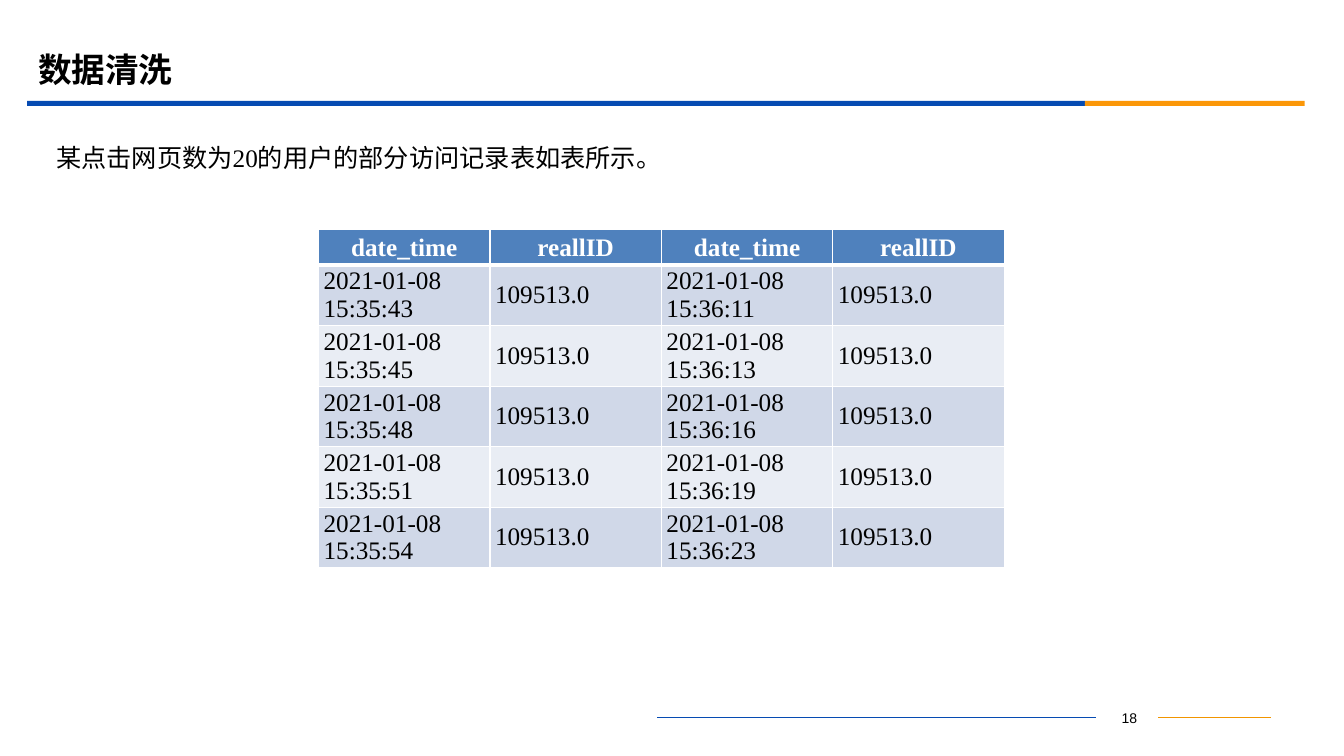
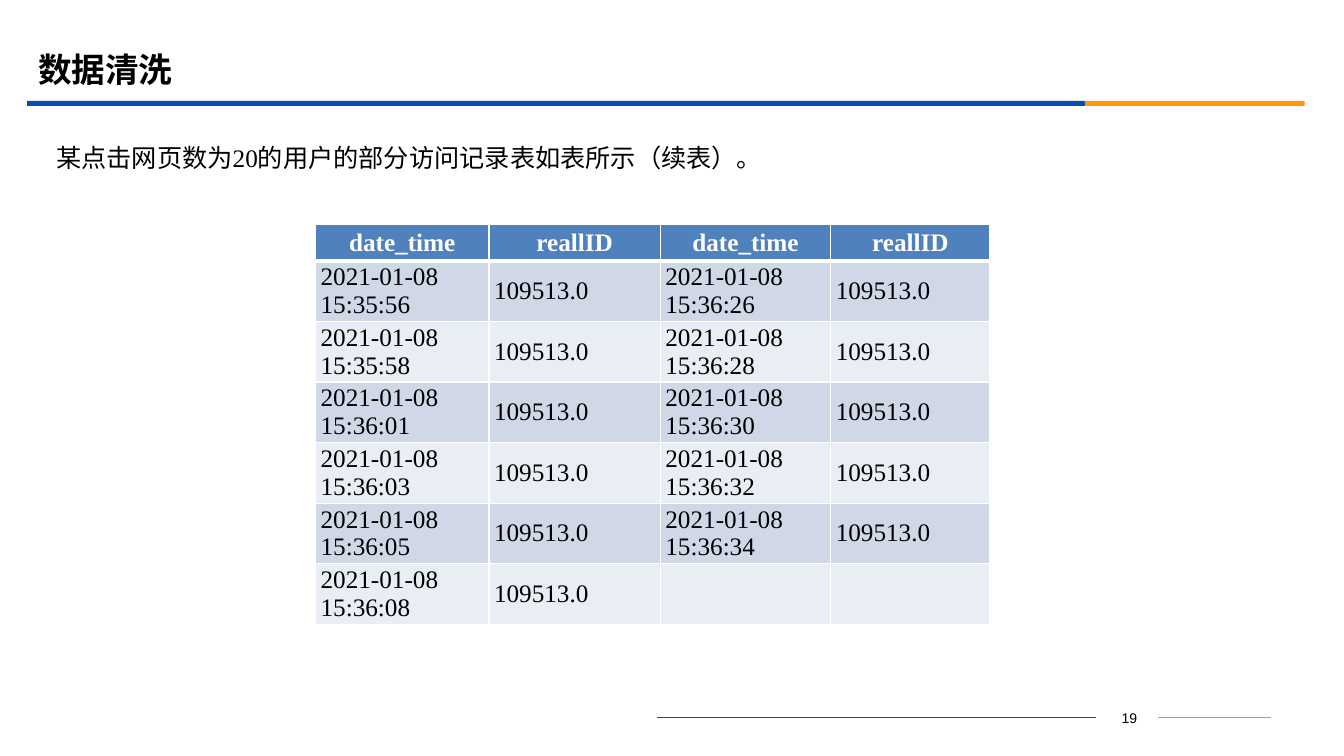
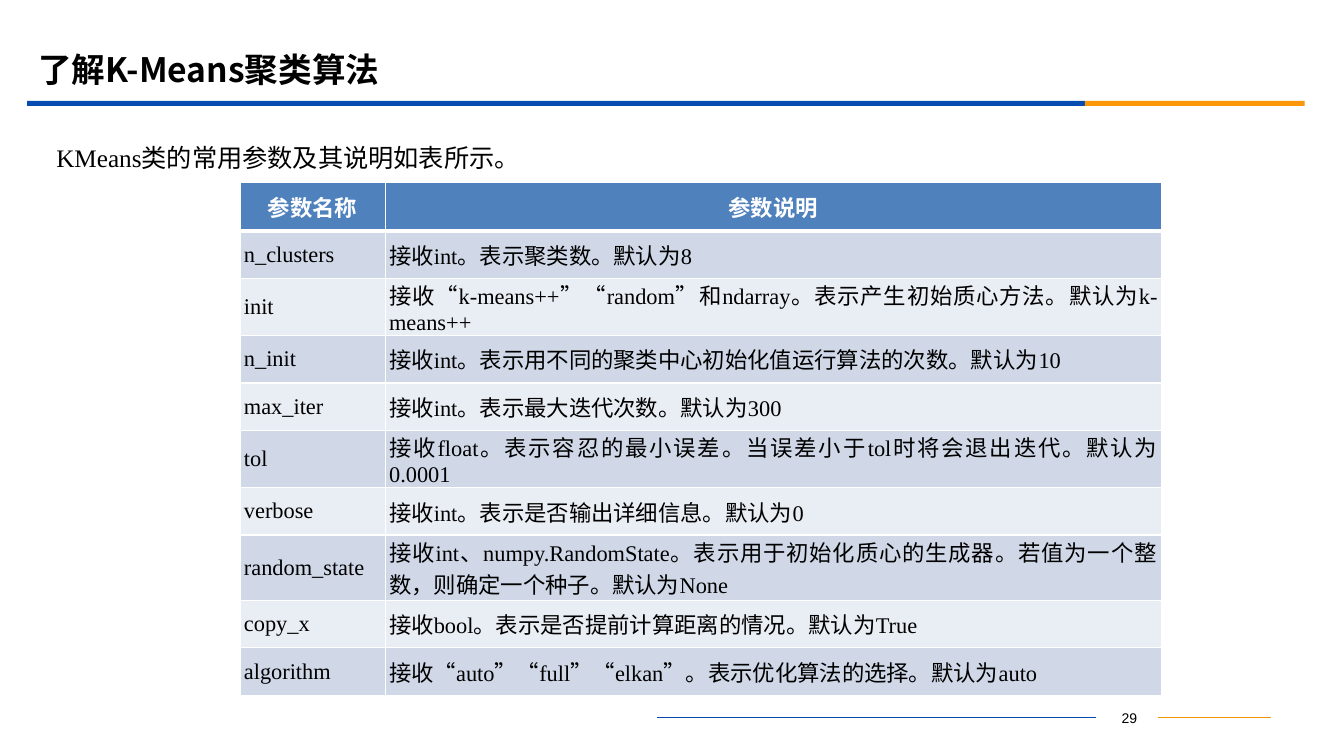
from lxml import etree
from pptx import Presentation
from pptx import util as u
from pptx.dml.color import RGBColor
from pptx.enum import shapes, text
from pptx.oxml.ns import qn

COLORS = {
    "black": "000000", "white": "FFFFFF", "blue": "064BB2", "orange": "FB9708",
    "amber": "F19500", "header": "4F81BD", "odd": "D0D8E8", "even": "E9EDF4",
}
W, H = 13.33, 7.5
CJK = "Noto Sans CJK SC"
SERIF = "Times New Roman"
LEFT, CENTER, JUSTIFY = (text.PP_ALIGN.LEFT, text.PP_ALIGN.CENTER, text.PP_ALIGN.JUSTIFY)
TOP, MIDDLE = text.MSO_ANCHOR.TOP, text.MSO_ANCHOR.MIDDLE

# Parts found on every slide: left, top, width, height
BARS = [("blue", 0.27, 10.49), ("orange", 10.76, 2.18)]
FOOTER_LINES = [("amber", 11.49, 12.61), ("blue", 6.52, 10.87)]
BOXES = {
    "page": ((10.89, 6.99, 0.62, 0.25), TOP, CENTER, 1,
             {"name": "Arial", "size": u.Pt(10), "bold": False}),
    "body": ((0.46, 1.21, 12.15, 5.53), TOP, LEFT, 1.5,
             {"name": SERIF, "size": u.Pt(18), "bold": False}),
    "title": ((0.28, 0.39, 12, 0.58), MIDDLE, LEFT, 1,
              {"name": CJK, "size": u.Pt(24), "bold": True}),
}

DAY, USER = "2021-01-08 ", "109513.0"
LOG_HEADER = ["date_time", "reallID"] * 2
LOG_1 = [("15:35:43", "15:36:11"), ("15:35:45", "15:36:13"), ("15:35:48", "15:36:16"),
         ("15:35:51", "15:36:19"), ("15:35:54", "15:36:23")]
LOG_2 = [("15:35:56", "15:36:26"), ("15:35:58", "15:36:28"), ("15:36:01", "15:36:30"),
         ("15:36:03", "15:36:32"), ("15:36:05", "15:36:34"), ("15:36:08", "")]
log_rows = [
    [LOG_HEADER] + [[v for t in pair for v in ((DAY + t, USER) if t else ("", ""))]
                    for pair in log]
    for log in (LOG_1, LOG_2)
]
PARAMETERS = [
    ("参数名称", "参数说明"),
    ("n_clusters", "接收int。表示聚类数。默认为8"),
    ("init", "接收“k-means++”“random”和ndarray。表示产生初始质心方法。默认为k-means++"),
    ("n_init", "接收int。表示用不同的聚类中心初始化值运行算法的次数。默认为10"),
    ("max_iter", "接收int。表示最大迭代次数。默认为300"),
    ("tol", "接收float。表示容忍的最小误差。当误差小于tol时将会退出迭代。默认为0.0001"),
    ("verbose", "接收int。表示是否输出详细信息。默认为0"),
    ("random_state", "接收int、numpy.RandomState。表示用于初始化质心的生成器。"
                     "若值为一个整数，则确定一个种子。默认为None"),
    ("copy_x", "接收bool。表示是否提前计算距离的情况。默认为True"),
    ("algorithm", "接收“auto”“full”“elkan”。表示优化算法的选择。默认为auto"),
]

# "heights" holds header and body row; "tall" holds rows with two lines of text
SLIDES = [
    {"page": "18", "title": "数据清洗",
     "body": "某点击网页数为20的用户的部分访问记录表如表所示。",
     "rows": log_rows[0], "at": (3.16, 2.28), "cols": [1.7] * 4,
     "heights": (0.35, 0.56), "tall": {}, "size": 18, "inset": 0.05},
    {"page": "19", "title": "数据清洗",
     "body": "某点击网页数为20的用户的部分访问记录表如表所示（续表）。",
     "rows": log_rows[1], "at": (3.13, 2.23), "cols": [1.72, 1.7, 1.69, 1.58],
     "heights": (0.36, 0.56), "tall": {}, "size": 18, "inset": 0.05},
    {"page": "29", "title": "了解K-Means聚类算法",
     "body": "KMeans类的常用参数及其说明如表所示。",
     "rows": PARAMETERS, "at": (2.38, 1.81), "cols": [1.44, 7.7],
     "heights": (0.48, 0.47), "tall": {"init": 0.57, "tol": 0.57, "random_state": 0.65},
     "size": 16, "inset": 0.04},
]


def write(p, value, color, align, fmt):
    p.alignment = align
    r = p.add_run()
    r.text = value
    for key, val in fmt.items():
        setattr(r.font, key, val)
    r.font.color.rgb = RGBColor.from_string(COLORS[color])
    r.font._element.find(qn("a:latin")).addnext(
        r.font._element.makeelement(qn("a:ea"), {"typeface": CJK}))


def add_borders(cell, widths):
    """Draw white borders; widths are points for left, right, top and bottom."""
    tcPr = cell._tc.get_or_add_tcPr()
    for i, (side, width) in enumerate(zip("LRTB", widths)):
        ln = tcPr.makeelement(qn("a:ln" + side), {"w": str(u.Pt(width))})
        fill = etree.SubElement(ln, qn("a:solidFill"))
        etree.SubElement(fill, qn("a:srgbClr"), val=COLORS["white"])
        tcPr.insert(i, ln)


prs = Presentation()
prs.slide_width, prs.slide_height = u.Inches(W), u.Inches(H)

for page in SLIDES:
    s = prs.slides.add_slide(prs.slide_layouts[6])

    for color, left, width in BARS:
        sp = s.shapes.add_shape(shapes.MSO_SHAPE.RECTANGLE,
                                *map(u.Inches, (left, 1, width, 0.05)))
        sp.shadow.inherit = False
        sp.fill.solid()
        sp.fill.fore_color.rgb = RGBColor.from_string(COLORS[color])
        sp.line.fill.background()

    for color, start, end in FOOTER_LINES:
        ln = s.shapes.add_connector(shapes.MSO_CONNECTOR.STRAIGHT,
                                    *map(u.Inches, (start, 7.12, end, 7.12)))
        ln.line.color.rgb = RGBColor.from_string(COLORS[color])
        ln.line.width = u.Pt(0.75)
        etree.SubElement(ln._element.spPr, qn("a:effectLst"))

    for name, (at, anchor, align, spacing, fmt) in BOXES.items():
        tf = s.shapes.add_textbox(*map(u.Inches, at)).text_frame
        tf.word_wrap = True
        tf.vertical_anchor = anchor
        p = tf.paragraphs[0]
        p.line_spacing = spacing
        write(p, page[name], "black", align, fmt)

    rows, cols = page["rows"], page["cols"]
    head, rest = page["heights"]
    heights = [head] + [page["tall"].get(row[0], rest) for row in rows[1:]]
    size = (sum(cols), sum(heights))
    tbl = s.shapes.add_table(len(rows), len(cols),
                             *map(u.Inches, page["at"] + size)).table
    for col, width in zip(tbl.columns, cols):
        col.width = u.Inches(width)
    for i, values in enumerate(rows):
        tbl.rows[i].height = u.Inches(heights[i])
        is_head = i == 0
        fill = "header" if is_head else "odd" if i % 2 else "even"
        for j, value in enumerate(values):
            cell = tbl.cell(i, j)
            cell.fill.solid()
            cell.fill.fore_color.rgb = RGBColor.from_string(COLORS[fill])
            cell.vertical_anchor = MIDDLE
            cell.margin_left = cell.margin_right = u.Inches(page["inset"])
            cell.margin_top = cell.margin_bottom = 0
            add_borders(cell, (1, 1, 3 if i == 1 else 1, 3 if is_head else 1))
            if value:
                write(cell.text_frame.paragraphs[0], value,
                      "white" if is_head else "black", CENTER if is_head else JUSTIFY,
                      {"name": SERIF, "size": u.Pt(page["size"]), "bold": is_head})

prs.save("out.pptx")
